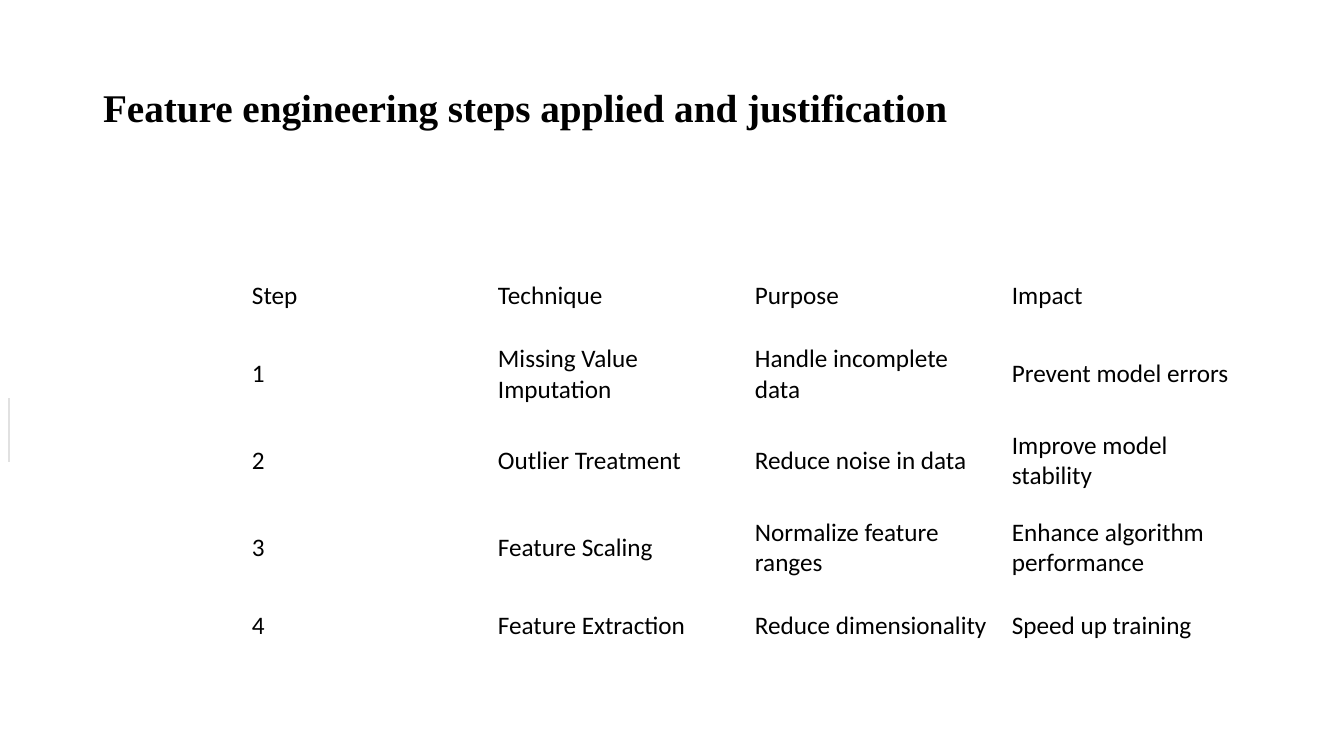
from pptx import Presentation
from pptx.dml.color import RGBColor
from pptx.enum.shapes import MSO_SHAPE
from pptx.enum.text import MSO_ANCHOR, PP_ALIGN
from pptx.util import Pt

RECTANGLE = MSO_SHAPE.RECTANGLE
MIDDLE = MSO_ANCHOR.MIDDLE
LEFT = PP_ALIGN.LEFT
NO_STYLE_NO_GRID = "{2D5ABB26-0587-4C30-8999-92F81FD0307C}"


def px(n):
    return round(n * 914400 / 100.8)


def style(p, font, size, color, bold=False):
    p.alignment = LEFT
    p.font.name = font
    p.font.size = Pt(size)
    p.font.bold = bold
    p.font.color.rgb = RGBColor.from_string(color)


prs = Presentation()
prs.slide_width = px(1344)
prs.slide_height = px(756)
s = prs.slides.add_slide(prs.slide_layouts[5])

title = s.shapes.title
title.left, title.top, title.width, title.height = px(93), px(37), px(1159), px(146)
tf = title.text_frame
tf.text = "Feature engineering steps applied and justification"
tf.vertical_anchor = MIDDLE
p = tf.paragraphs[0]
p.line_spacing = 0.9
style(p, "Times New Roman", 28, "000000", bold=True)

rows = [
    ["Step", "Technique", "Purpose", "Impact"],
    ["1", "Missing Value Imputation", "Handle incomplete data", "Prevent model errors"],
    ["2", "Outlier Treatment", "Reduce noise in data", "Improve model stability"],
    ["3", "Feature Scaling", "Normalize feature ranges", "Enhance algorithm performance"],
    ["4", "Feature Extraction", "Reduce dimensionality", "Speed up training"],
]
col_widths = [246, 257, 257, 257]
row_heights = [58, 98, 76, 98, 58]

frame = s.shapes.add_table(len(rows), len(col_widths), px(241), px(267),
                           px(sum(col_widths)), px(sum(row_heights)))
table = frame.table
table.first_row = False
table.horz_banding = False
table._tbl.tblPr[0].text = NO_STYLE_NO_GRID
for column, width in zip(table.columns, col_widths):
    column.width = px(width)
for row, height, texts in zip(table.rows, row_heights, rows):
    row.height = px(height)
    for cell, text in zip(row.cells, texts):
        cell.text = text
        cell.fill.background()
        cell.vertical_anchor = MIDDLE
        cell.margin_left = px(11)
        cell.margin_right = px(10)
        cell.margin_top = cell.margin_bottom = px(7)
        style(cell.text_frame.paragraphs[0], "Calibri", 18, "000000")

bar = s.shapes.add_shape(RECTANGLE, px(9), px(398), 0, px(64))
bar.shadow.inherit = False
bar.fill.solid()
bar.fill.fore_color.rgb = RGBColor.from_string("151517")
bar.line.fill.background()

prs.save("out.pptx")
